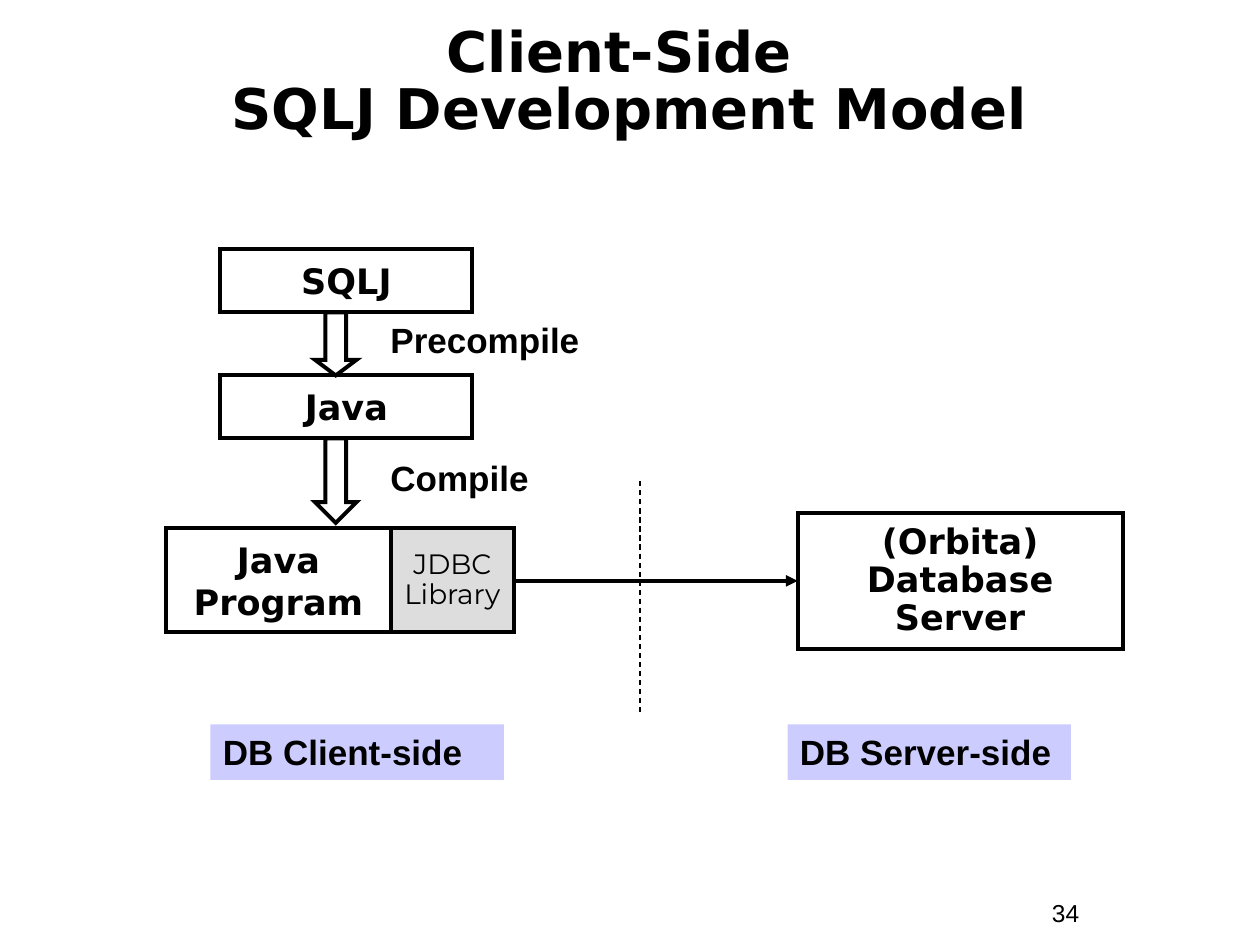
import pptx
import pptx.util
import pptx.dml.color
import pptx.enum.dml
import pptx.enum.shapes
import pptx.enum.text
import pptx.oxml.ns
import lxml.etree

Inches = pptx.util.Inches
Pt = pptx.util.Pt
RGB = pptx.dml.color.RGBColor
Kind = pptx.enum.shapes.MSO_SHAPE
Line = pptx.enum.shapes.MSO_CONNECTOR
Align = pptx.enum.text.PP_ALIGN
Mid = pptx.enum.text.MSO_ANCHOR
Fit = pptx.enum.text.MSO_AUTO_SIZE
qn = pptx.oxml.ns.qn

BLACK = RGB(0x00, 0x00, 0x00)
GREY = RGB(0xDD, 0xDD, 0xDD)
LILAC = RGB(0xCC, 0xCC, 0xFF)


def write(shape, text, font="DejaVu Sans", size=20, bold=True,
          align=Align.CENTER, anchor=Mid.MIDDLE, space=1.0, wrap=False):
    frame = shape.text_frame
    frame.word_wrap = wrap
    frame.auto_size = Fit.NONE
    frame.vertical_anchor = anchor
    para = frame.paragraphs[0]
    para.text = text.replace("\n", "\v")
    para.alignment = align
    para.line_spacing = space
    for run in para.runs:
        run.font.name = font
        run.font.size = Pt(size)
        run.font.bold = bold
        run.font.color.rgb = BLACK


def draw(kind, left, top, width, height, fill=None, edge=True):
    shape = slide.shapes.add_shape(
        kind, Inches(left), Inches(top), Inches(width), Inches(height))
    shape.shadow.inherit = False
    if fill is None:
        shape.fill.background()
    else:
        shape.fill.solid()
        shape.fill.fore_color.rgb = fill
    if edge:
        shape.line.color.rgb = BLACK
        shape.line.width = Pt(2.25)
        lxml.etree.SubElement(shape.line._get_or_add_ln(), qn("a:miter"), lim="800000")
    else:
        shape.line.fill.background()
    return shape


deck = pptx.Presentation()
deck.slide_width = Inches(10)
deck.slide_height = Inches(7.5)
slide = deck.slides.add_slide(deck.slide_layouts[5])

title = slide.shapes.title
title.left, title.top = Inches(0.33), Inches(0.33)
title.width, title.height = Inches(9.33), Inches(0.67)
write(title, "Client-Side \nSQLJ Development Model", size=32, space=0.85, wrap=True)

server = draw(Kind.RECTANGLE, 6.33, 4.07, 2.58, 1.08)
write(server, "(Orbita)\nDatabase\nServer", space=0.9)

link = slide.shapes.add_connector(
    Line.STRAIGHT, Inches(3.85), Inches(4.61), Inches(6.33), Inches(4.61))
link.end_connect(server, 1)
link.line.width = Pt(2.25)
split = slide.shapes.add_connector(
    Line.STRAIGHT, Inches(5.08), Inches(3.82), Inches(5.08), Inches(5.65))
split.line.width = Pt(0.75)
split.line.dash_style = pptx.enum.dml.MSO_LINE.DASH
for line in (link, split):
    line.line.color.rgb = BLACK
    lxml.etree.SubElement(line._element.spPr, qn("a:effectLst"))
lxml.etree.SubElement(link.line._get_or_add_ln(), qn("a:tailEnd"), type="triangle")

for text, left, width in (("DB Client-side", 1.67, 2.33), ("DB Server-side", 6.25, 2.25)):
    side = draw(Kind.RECTANGLE, left, 5.75, width, 0.44, fill=LILAC, edge=False)
    write(side, text, font="Arial", align=Align.LEFT, anchor=Mid.TOP, wrap=True)

for text, left, top, width, height in (
        ("SQLJ", 1.75, 1.98, 2, 0.5),
        ("Java", 1.75, 2.98, 2, 0.5),
        ("Java\nProgram", 1.32, 4.19, 1.78, 0.83)):
    write(draw(Kind.RECTANGLE, left, top, width, height), text)

for top, height, head in ((2.48, 0.5, 0.375), (3.48, 0.67, 0.5)):
    arrow = draw(Kind.DOWN_ARROW, 2.5, top, 0.33, height)
    arrow.adjustments[0] = 0.5
    arrow.adjustments[1] = head

jdbc = draw(Kind.RECTANGLE, 3.1, 4.19, 0.98, 0.83, fill=GREY)
write(jdbc, "JDBC\nLibrary", font="Montserrat", size=16, bold=False, space=0.9)

for text, left, top, width, height, size, bold in (
        ("Precompile", 3, 2.48, 1.75, 0.44, 20, True),
        ("Compile", 3, 3.57, 1.75, 0.44, 20, True),
        ("34", 8.25, 7.08, 0.92, 0.34, 14, False)):
    label = slide.shapes.add_textbox(
        Inches(left), Inches(top), Inches(width), Inches(height))
    write(label, text, font="Arial", size=size, bold=bold,
          align=Align.LEFT, anchor=Mid.TOP, wrap=True)

deck.save("out.pptx")
